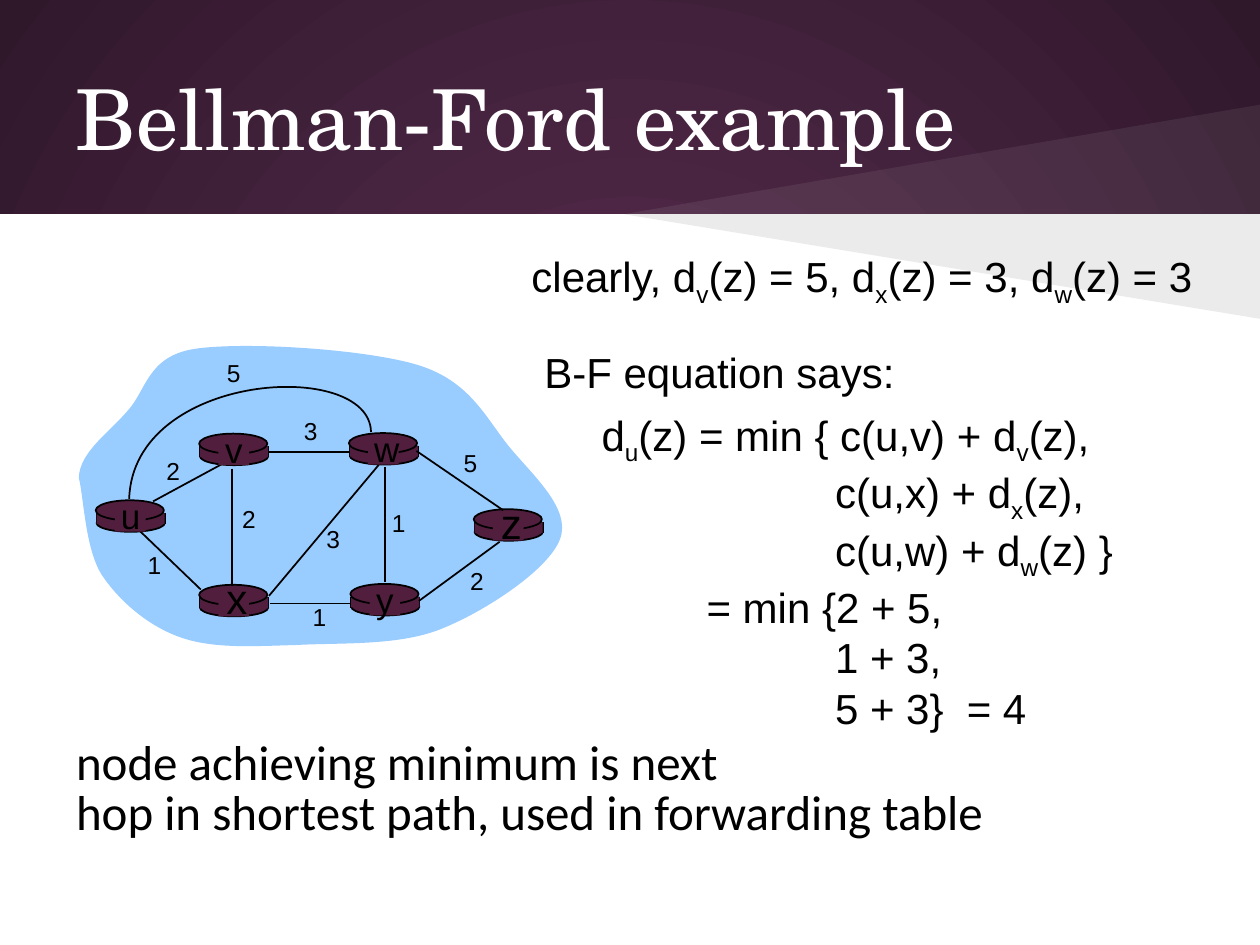
from dataclasses import dataclass

from lxml import etree
from pptx import Presentation
from pptx.dml.color import RGBColor
from pptx.enum.shapes import MSO_CONNECTOR, MSO_SHAPE
from pptx.enum.text import MSO_ANCHOR, PP_ALIGN
from pptx.oxml.ns import qn
from pptx.util import Pt


@dataclass(frozen=True)
class Theme:
    glow: RGBColor = RGBColor(0x59, 0x2D, 0x50)
    dusk: RGBColor = RGBColor(0x30, 0x18, 0x2B)
    white: RGBColor = RGBColor(0xFF, 0xFF, 0xFF)
    ink: RGBColor = RGBColor(0x00, 0x00, 0x00)
    cloud: RGBColor = RGBColor(0x99, 0xCC, 0xFF)
    router: RGBColor = RGBColor(0x51, 0x1E, 0x3E)
    title_font: str = "TeX Gyre Schola"
    body_font: str = "Arial"
    note_font: str = "Calibri"
    title_size: int = 48
    body_size: int = 24
    note_size: int = 28
    weight_size: int = 14
    line_width: int = 1


THEME = Theme()

# Each curve: start point, then (control, control, end) triples.
CLOUD = [(0, 77.8),
         (0.7, 63.4), (16.6, 52.6), (27.4, 40.3),
         (38.9, 28.1), (38.9, 8.6), (66.2, 4.3),
         (94.3, 0), (164.2, 4.3), (194.4, 13.7),
         (223.9, 23), (232.6, 43.9), (246.2, 60.5),
         (259.9, 77), (281.5, 95.8), (275, 113),
         (268.6, 130.3), (232.6, 154.1), (207.4, 164.2),
         (182.9, 174.2), (149, 172.1), (124.6, 173.5),
         (99.4, 174.2), (77, 175.7), (58.3, 169.2),
         (39.6, 162.7), (23, 148.3), (13, 133.2),
         (3.6, 118.1), (2.9, 89.3), (0, 77.8)]
U_TO_W = [(167, 51.8), (166.3, 9.4), (31, 17.3), (28.8, 90)]

# Node: left, top, letter size
NODES = {"u": (9.7, 90.8, 20), "y": (155.2, 138.6, 20), "x": (68.8, 139.1, 24),
         "w": (154.4, 52.4, 20), "v": (68.8, 52.7, 20), "z": (225.7, 95.9, 24)}
# Letter size: centre of the letter from the node's corner
LETTER_CENTRES = {20: (19.8, 9), 24: (21, 7.6)}
# Link: start, end, cost, centre of the cost label
LINKS = [((42.5, 91.4), (85, 68.4), "2", (54, 76.3)),
         ((87.8, 72.7), (87.8, 139.7), "2", (97.2, 103.7)),
         ((69.8, 141.8), (35.3, 108.7), "1", (43.2, 130.3)),
         ((108.7, 145.4), (171.4, 70.6), "3", (145.4, 115.2)),
         ((155.5, 149.8), (109.4, 149.8), "1", (137.5, 159.8)),
         ((175, 72), (175, 137.5), "1", (182.9, 105.8)),
         ((194.4, 148.3), (240.5, 114.5), "2", (227.5, 139)),
         ((242.6, 96.5), (193, 62.6), "5", (223.9, 72)),
         ((154.8, 63.4), (108.7, 63.4), "3", (132.5, 53.3))]


def paint(shape, fill=None, line=None, alpha=None):
    shape.shadow.inherit = False
    if fill is None:
        shape.fill.background()
    else:
        shape.fill.solid()
        shape.fill.fore_color.rgb = fill
    if alpha is not None:
        color = shape.fill._xPr.find(".//" + qn("a:srgbClr"))
        etree.SubElement(color, qn("a:alpha")).set("val", str(alpha * 1000))
    if line is None:
        shape.line.fill.background()
    else:
        shape.line.color.rgb = line
        shape.line.width = Pt(THEME.line_width)


def add_preset(shapes, kind, x, y, width, height, **colors):
    shape = shapes.add_shape(kind, Pt(x), Pt(y), Pt(width), Pt(height))
    paint(shape, **colors)


def add_outline(shapes, points, close=True, **colors):
    (x0, y0), *rest = [(Pt(x), Pt(y)) for x, y in points]
    builder = shapes.build_freeform(x0, y0)
    builder.add_line_segments(rest, close=close)
    outline = builder.convert_to_shape()
    paint(outline, **colors)
    return outline


def add_curve(shapes, curve, left, top, close=True, **colors):
    """Draw the control polygon, then turn each three of its sides into one Bezier."""
    points = [(left + x, top + y) for x, y in curve]
    outline = add_outline(shapes, points, close, **colors)
    sides = list(outline._element.iter(qn("a:lnTo")))
    for i in range(0, len(curve) - 1, 3):
        bezier = etree.Element(qn("a:cubicBezTo"))
        sides[i].addprevious(bezier)
        for side in sides[i:i + 3]:
            bezier.append(side[0])
            side.getparent().remove(side)


def add_link(shapes, x1, y1, x2, y2):
    link = shapes.add_connector(MSO_CONNECTOR.STRAIGHT, Pt(x1), Pt(y1), Pt(x2), Pt(y2))
    link.line.color.rgb = THEME.ink
    link.line.width = Pt(THEME.line_width)
    etree.SubElement(link._element.spPr, qn("a:effectLst"))


def add_text(shapes, box, lines, size, font=THEME.body_font, align=PP_ALIGN.LEFT,
             spacing=None):
    """Lines are (indent, text); the letter after each underscore is a subscript."""
    frame = shapes.add_textbox(*map(Pt, box)).text_frame
    frame.word_wrap = False
    for i, (indent, text) in enumerate(lines):
        paragraph = frame.paragraphs[0] if i == 0 else frame.add_paragraph()
        if indent:
            paragraph._p.get_or_add_pPr().set("marL", str(Pt(indent)))
        paragraph.alignment = align
        paragraph.line_spacing = spacing
        paragraph.font.name = font
        paragraph.font.size = Pt(size)
        paragraph.font.color.rgb = THEME.ink
        first, *others = text.split("_")
        paragraph.add_run().text = first
        for part in others:
            subscript = paragraph.add_run()
            subscript.text = part[0]
            subscript.font._element.set("baseline", "-25000")
            paragraph.add_run().text = part[1:]


def add_backdrop(slide, width, height, header):
    fill = slide.background.fill
    fill.gradient()
    for stop, color in zip(fill.gradient_stops, (THEME.glow, THEME.dusk)):
        stop.color.rgb = color
    linear = next(slide._element.iter(qn("a:lin")))
    circle = etree.Element(qn("a:path"), path="circle")
    etree.SubElement(circle, qn("a:fillToRect"), l="50000", t="50000", r="50000", b="50000")
    linear.getparent().replace(linear, circle)

    add_preset(slide.shapes, MSO_SHAPE.RECTANGLE, 0, header, width, height - header,
               fill=THEME.white)
    for rise, color, alpha in ((-62.6, THEME.white, 7), (59.8, THEME.ink, 8)):
        beam = [(width, header), (356.4, header), (width, header + rise)]
        add_outline(slide.shapes, beam, fill=color, alpha=alpha)


def add_title(slide, box, text):
    title = slide.shapes.title
    slide.shapes._spTree.append(title._element)
    title.left, title.top, title.width, title.height = map(Pt, box)
    frame = title.text_frame
    frame.text = text
    frame.vertical_anchor = MSO_ANCHOR.MIDDLE
    paragraph = frame.paragraphs[0]
    paragraph.alignment = PP_ALIGN.LEFT
    paragraph.font.name = THEME.title_font
    paragraph.font.size = Pt(THEME.title_size)
    paragraph.font.color.rgb = THEME.white


def add_router(shapes, x, y):
    width = 39
    disc = dict(fill=THEME.router, line=THEME.ink)
    add_preset(shapes, MSO_SHAPE.OVAL, x + 0.5, y + 8, width, 10, **disc)
    for side in (x + 0.5, x + 0.5 + width):
        add_link(shapes, side, y + 7.2, side, y + 13.5)
    add_preset(shapes, MSO_SHAPE.RECTANGLE, x + 0.5, y + 7.2, width, 6.3, fill=THEME.router)
    add_preset(shapes, MSO_SHAPE.OVAL, x, y, width, 11.5, **disc)


def add_centred(shapes, x, y, text, size, height):
    width = 25
    add_text(shapes, (x - width / 2, y - height / 2, width, height), [(0, text)], size,
             align=PP_ALIGN.CENTER)


def add_network(slide, left, top):
    shapes = slide.shapes.add_group_shape().shapes
    add_curve(shapes, CLOUD, left, top, fill=THEME.cloud)
    for i, ((x1, y1), (x2, y2), _, _) in enumerate(LINKS):
        add_link(shapes, left + x1, top + y1, left + x2, top + y2)
        if i == 0:
            for x, y, _ in NODES.values():
                add_router(shapes, left + x, top + y)
    add_curve(shapes, U_TO_W, left, top, close=False, line=THEME.ink)
    for letter, (x, y, size) in NODES.items():
        add_preset(shapes, MSO_SHAPE.RECTANGLE, left + x + 11, top + y + 1.5, 17.5, 16.5,
                   fill=THEME.router)
        dx, dy = LETTER_CENTRES[size]
        add_centred(shapes, left + x + dx, top + y + dy, letter, size, size * 1.2 + 7.2)
    costs = [(cost, centre) for _, _, cost, centre in LINKS] + [("5", (88.6, 20.2))]
    for cost, (x, y) in costs:
        add_centred(shapes, left + x, top + y, cost, THEME.weight_size, 28.8)


def add_equations(slide, left, top):
    terms, equals = 133.4, 60
    size = THEME.body_size
    add_text(slide.shapes, (left, top, 397.4, 36),
             [(0, "clearly, d_v(z) = 5, d_x(z) = 3, d_w(z) = 3")], size)
    add_text(slide.shapes, (left + 40.1, top + 90.7, 307.4, 180),
             [(0, "d_u(z) = min { c(u,v) + d_v(z),"),
              (terms, "c(u,x) + d_x(z),"),
              (terms, "c(u,w) + d_w(z) }"),
              (equals, "= min {2 + 5,"),
              (terms, "1 + 3,"),
              (terms, "5 + 3}  = 4")], size)
    add_text(slide.shapes, (left + 7.4, top + 54.7, 214.6, 36),
             [(0, "B-F equation says:")], size)


def add_conclusion(slide, box):
    add_text(slide.shapes, box,
             [(0, "node achieving minimum is next"),
              (0, "hop in shortest path, used in forwarding table")],
             THEME.note_size, font=THEME.note_font, spacing=0.85)


def main():
    deck = Presentation()
    deck.slide_width, deck.slide_height = Pt(720), Pt(540)
    slide = deck.slides.add_slide(deck.slide_layouts[5])
    add_backdrop(slide, 720, 540, header=122.4)
    add_title(slide, (36, 21.6, 648, 90), "Bellman-Ford example")
    add_network(slide, 45, 195.1)
    add_equations(slide, 296.6, 139.7)
    add_conclusion(slide, (36.4, 419.8, 532.8, 64.8))
    deck.save("out.pptx")


if __name__ == "__main__":
    main()
